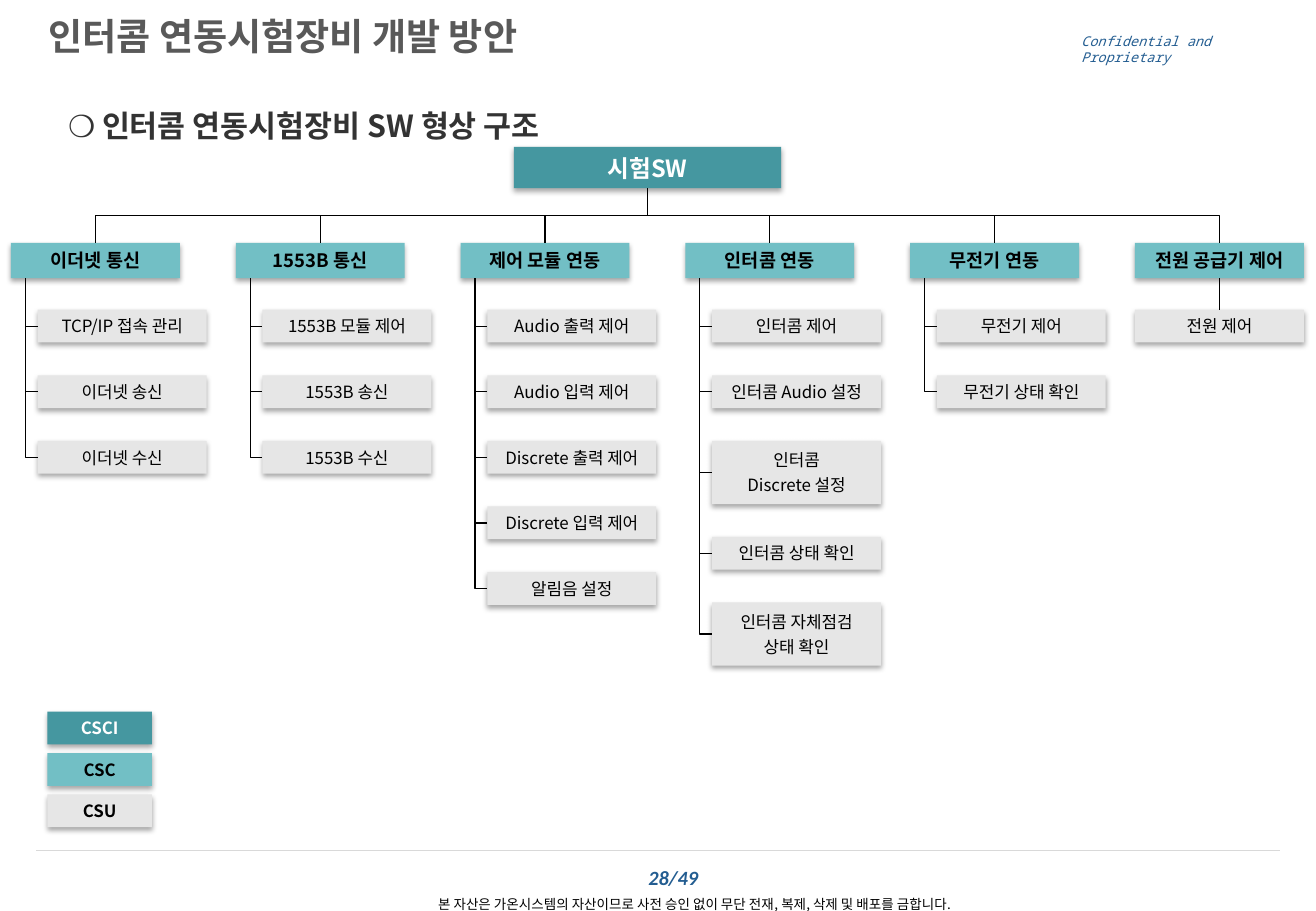
from dataclasses import dataclass

from lxml import etree
from pptx import Presentation
from pptx.dml.color import RGBColor
from pptx.enum.shapes import MSO_CONNECTOR, MSO_SHAPE
from pptx.enum.text import MSO_ANCHOR, MSO_AUTO_SIZE, PP_ALIGN
from pptx.oxml.ns import qn
from pptx.util import Inches, Pt

RECT = MSO_SHAPE.RECTANGLE
STRAIGHT, ELBOW = MSO_CONNECTOR.STRAIGHT, MSO_CONNECTOR.ELBOW
LEFT, CENTER = PP_ALIGN.LEFT, PP_ALIGN.CENTER
TOP, MIDDLE, BOTTOM = MSO_ANCHOR.TOP, MSO_ANCHOR.MIDDLE, MSO_ANCHOR.BOTTOM
NO_AUTOFIT = MSO_AUTO_SIZE.NONE

KOREAN = "Noto Sans CJK KR"


@dataclass(frozen=True)
class TextStyle:
    size: float
    color: str = "000000"
    bold: bool = False
    italic: bool = False
    name: str = KOREAN


@dataclass(frozen=True)
class Theme:
    csci_fill: str = "4597A0"
    csc_fill: str = "72BFC5"
    csu_fill: str = "E6E6E6"
    tree_line: str = "000000"
    divider: str = "D9D9D9"
    title: TextStyle = TextStyle(22, "595959", bold=True)
    heading: TextStyle = TextStyle(18, "333333", bold=True)
    csci: TextStyle = TextStyle(14, "FFFFFF", bold=True)
    csc: TextStyle = TextStyle(11, bold=True)
    csu: TextStyle = TextStyle(10)
    key_light: TextStyle = TextStyle(10, "FFFFFF", bold=True)
    key_dark: TextStyle = TextStyle(10, bold=True)
    notice: TextStyle = TextStyle(8)
    page: TextStyle = TextStyle(12, "235D91", True, True, "Calibri")
    secret: TextStyle = TextStyle(8, "235D91", italic=True, name="Noto Sans Mono")


MODULES = [
    ("이더넷 통신", ["TCP/IP 접속 관리", "이더넷 송신", "이더넷 수신"]),
    ("1553B 통신", ["1553B 모듈 제어", "1553B 송신", "1553B 수신"]),
    ("제어 모듈 연동", ["Audio 출력 제어", "Audio 입력 제어", "Discrete 출력 제어",
                  "Discrete 입력 제어", "알림음 설정"]),
    ("인터콤 연동", ["인터콤 제어", "인터콤 Audio 설정", "인터콤\nDiscrete 설정",
                "인터콤 상태 확인", "인터콤 자체점검\n상태 확인"]),
    ("무전기 연동", ["무전기 제어", "무전기 상태 확인"]),
    ("전원 공급기 제어", ["전원 제어"]),
]

ROOT_X, ROOT_Y, ROOT_W, ROOT_H = 4.23, 1.21, 2.2, 0.34
CSC_X, CSC_Y, CSC_H, PITCH = 0.09, 2, 0.29, 1.85
BOX_W = 1.39
CSU_Y, CSU_H, CSU_TALL, CSU_GAP = 2.55, 0.27, 0.52, 0.27
CSU_INDENT, SPINE_INDENT = 0.22, 0.12


class Deck:
    def __init__(self, prs, theme):
        self.theme = theme
        self.slide = prs.slides.add_slide(prs.slide_layouts[5])
        self.shapes = self.slide.shapes

    def set_text(self, sp, text, style, align=CENTER, anchor=MIDDLE, margins=(0, 0, 0, 0)):
        """Fill a shape with one paragraph per line of text."""
        tf = sp.text_frame
        left, top, right, bottom = map(Inches, margins)
        frame = {"word_wrap": True, "auto_size": NO_AUTOFIT, "vertical_anchor": anchor,
                 "margin_left": left, "margin_top": top,
                 "margin_right": right, "margin_bottom": bottom}
        for key, value in frame.items():
            setattr(tf, key, value)
        for i, line in enumerate(text.split("\n")):
            p = tf.add_paragraph() if i else tf.paragraphs[0]
            p.alignment = align
            p.space_before = Pt(3 if i else 0)
            r = p.add_run()
            r.text = line
            font = {"size": Pt(style.size), "bold": style.bold,
                    "italic": style.italic, "name": style.name}
            for key, value in font.items():
                setattr(r.font, key, value)
            r.font.color.rgb = RGBColor.from_string(style.color)
            ea = etree.SubElement(r.font._element, qn("a:ea"))
            ea.set("typeface", style.name)

    def title(self, x, y, w, h, text):
        sp = self.shapes.title
        sp.left, sp.top, sp.width, sp.height = map(Inches, (x, y, w, h))
        self.set_text(sp, text, self.theme.title, LEFT, TOP, (0.1, 0, 0.1, 0))

    def label(self, x, y, w, h, text, style, **layout):
        sp = self.shapes.add_textbox(*map(Inches, (x, y, w, h)))
        self.set_text(sp, text, style, **layout)

    def box(self, x, y, w, h, text, fill, style):
        sp = self.shapes.add_shape(RECT, *map(Inches, (x, y, w, h)))
        sp.fill.solid()
        sp.fill.fore_color.rgb = RGBColor.from_string(fill)
        sp.line.fill.background()
        self.soft_shadow(sp)
        self.set_text(sp, text, style)
        return sp

    def soft_shadow(self, sp):
        effects = etree.SubElement(sp._element.spPr, qn("a:effectLst"))
        shadow = etree.SubElement(effects, qn("a:outerShdw"), blurRad="40000",
                                  dist="23000", dir="5400000", rotWithShape="0")
        color = etree.SubElement(shadow, qn("a:srgbClr"), val="000000")
        etree.SubElement(color, qn("a:alpha"), val="35000")

    def line(self, x1, y1, x2, y2, color, width=0.75, kind=STRAIGHT):
        c = self.shapes.add_connector(kind, *map(Inches, (x1, y1, x2, y2)))
        c.line.color.rgb = RGBColor.from_string(color)
        c.line.width = Pt(width)
        etree.SubElement(c._element.spPr, qn("a:effectLst"))
        return c

    def elbow(self, x1, y1, x2, y2, preset):
        """Draw a bent line that leaves its start point downwards."""
        c = self.line(x1, y1, x2, y2, self.theme.tree_line, kind=ELBOW)
        w, h = y2 - y1, abs(x2 - x1)
        c.left, c.top = Inches((x1 + x2 - w) / 2), Inches((y1 + y2 - h) / 2)
        c.width, c.height = Inches(w), Inches(h)
        xfrm = c._element.spPr.find(qn("a:xfrm"))
        to_right = x2 > x1
        xfrm.set("rot", "16200000" if to_right else "5400000")
        xfrm.set("flipH", "1" if to_right else "0")
        c._element.spPr.find(qn("a:prstGeom")).set("prst", preset)

    def module(self, x, name, units):
        """Draw one CSC with its CSU boxes below it."""
        t = self.theme
        csc = self.box(x, CSC_Y, BOX_W, CSC_H, name, t.csc_fill, t.csc)
        self.elbow(ROOT_X + ROOT_W / 2, ROOT_Y + ROOT_H, x + BOX_W / 2, CSC_Y,
                   "bentConnector3")
        single = len(units) == 1
        unit_x = x if single else x + CSU_INDENT
        y, csc_bottom = CSU_Y, CSC_Y + CSC_H
        for unit in units:
            h = CSU_TALL if "\n" in unit else CSU_H
            csu = self.box(unit_x, y, BOX_W, h, unit, t.csu_fill, t.csu)
            if single:
                mid = x + BOX_W / 2
                c = self.line(mid, csc_bottom, mid, y, t.tree_line)
                c.begin_connect(csc, 2)
                c.end_connect(csu, 0)
            else:
                self.elbow(x + SPINE_INDENT, csc_bottom, unit_x, y + h / 2,
                           "bentConnector2")
            y += h + CSU_GAP


def main():
    prs = Presentation()
    prs.slide_width, prs.slide_height = Inches(10.83), Inches(7.5)
    t = Theme()
    s = Deck(prs, t)

    s.title(0.3, 0.11, 5.33, 0.51, "인터콤 연동시험장비 개발 방안")
    s.label(0.38, 0.52, 10.32, 0.71, "❍ 인터콤 연동시험장비 SW 형상 구조", t.heading,
            align=LEFT, anchor=BOTTOM, margins=(0.18, 0.05, 0.1, 0.05))
    s.label(8.8, 0.28, 1.73, 0.25, "Confidential and Proprietary", t.secret,
            align=LEFT, margins=(0.1, 0, 0.1, 0))

    s.box(ROOT_X, ROOT_Y, ROOT_W, ROOT_H, "시험SW", t.csci_fill, t.csci)
    for i, (name, units) in enumerate(MODULES):
        s.module(CSC_X + i * PITCH, name, units)

    legend = [("CSCI", t.csci_fill, t.key_light), ("CSC", t.csc_fill, t.key_dark),
              ("CSU", t.csu_fill, t.key_dark)]
    for i, (text, fill, style) in enumerate(legend):
        s.box(0.39, 5.86 + i * 0.34, 0.86, 0.27, text, fill, style)

    s.line(0.3, 7, 10.53, 7, t.divider, 0.25)
    s.label(5.1, 7, 0.88, 0.45, "28/49", t.page)
    s.label(2.55, 7.32, 6.33, 0.24,
            "본 자산은 가온시스템의 자산이므로 사전 승인 없이 무단 전재, 복제, 삭제 및 배포를 금합니다.",
            t.notice)
    prs.save("out.pptx")


if __name__ == "__main__":
    main()
